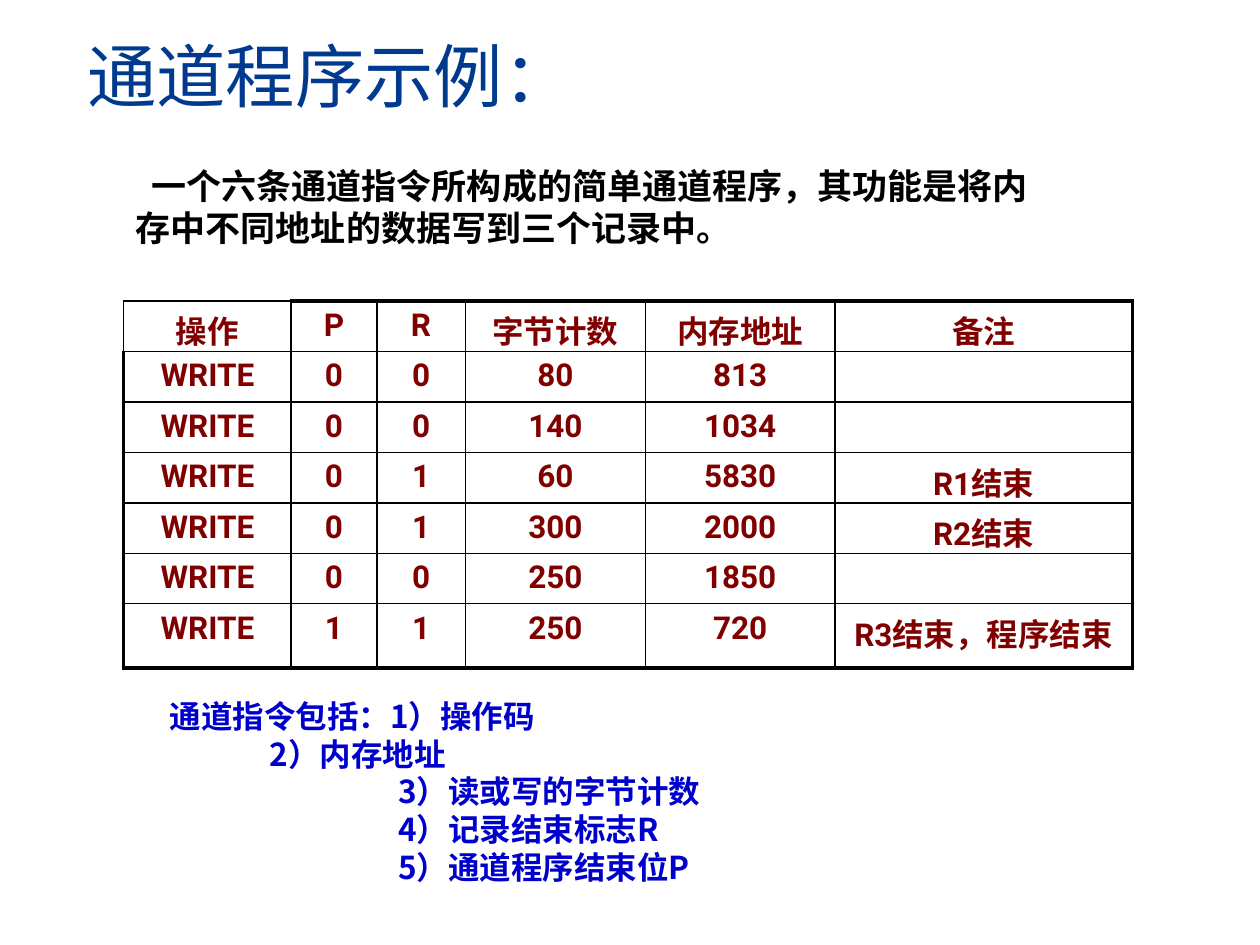
from lxml import etree
from pptx import Presentation
from pptx.dml.color import RGBColor
from pptx.enum.text import MSO_ANCHOR, PP_ALIGN
from pptx.oxml.ns import qn
from pptx.util import Pt

NAVY = RGBColor(0x00, 0x3A, 0x8F)
BLACK = RGBColor(0x00, 0x00, 0x00)
MAROON = RGBColor(0x80, 0x00, 0x00)
BLUE = RGBColor(0x00, 0x00, 0xCC)
CHINESE_FONT = "Noto Sans CJK SC"
LATIN_FONT = "Roboto"
CENTER, LEFT = PP_ALIGN.CENTER, PP_ALIGN.LEFT
MIDDLE, TOP = MSO_ANCHOR.MIDDLE, MSO_ANCHOR.TOP
THIN, THICK = Pt(1), Pt(2.25)


def write(para, text, size, color, font=CHINESE_FONT, bold=True,
          align=LEFT, left=0, first=0):
    """Write formatted text; left and first are indents in points."""
    para.alignment = align
    properties = para._p.get_or_add_pPr()
    properties.set("marL", str(Pt(left)))
    properties.set("indent", str(Pt(first)))
    span = para.add_run()
    span.text = text
    span.font.size = Pt(size)
    span.font.bold = bold
    span.font.name = font
    span.font.color.rgb = color
    east_asian = etree.SubElement(span._r.get_or_add_rPr(), qn("a:ea"))
    east_asian.set("typeface", CHINESE_FONT)


def set_border(cell, side, width):
    line = etree.SubElement(cell._tc.get_or_add_tcPr(), qn(f"a:ln{side}"), w=str(width))
    fill = etree.SubElement(line, qn("a:solidFill"))
    etree.SubElement(fill, qn("a:srgbClr"), val=str(BLACK))


deck = Presentation()
deck.slide_width, deck.slide_height = Pt(720), Pt(540)
page = deck.slides.add_slide(deck.slide_layouts[5])

# Title
title = page.shapes.title
title.left, title.top, title.width, title.height = Pt(18.7), Pt(33), Pt(600.5), Pt(26)
title.text_frame.vertical_anchor = MIDDLE
heading = title.text_frame.paragraphs[0]
heading.line_spacing = 0.9
write(heading, "通道程序示例：", 39.6, NAVY, bold=False, left=24)

# Introduction
intro = page.shapes.add_textbox(Pt(70.5), Pt(90.7), Pt(535.7), Pt(55.4))
intro.text_frame.word_wrap = True
write(intro.text_frame.paragraphs[0],
      "一个六条通道指令所构成的简单通道程序，其功能是将内存中不同地址的数据写到三个记录中。",
      20, BLACK, first=9)

# Channel program table
rows = [
    ("操作", "P", "R", "字节计数", "内存地址", "备注"),
    ("WRITE", "0", "0", "80", "813", ""),
    ("WRITE", "0", "0", "140", "1034", ""),
    ("WRITE", "0", "1", "60", "5830", "R1结束"),
    ("WRITE", "0", "1", "300", "2000", "R2结束"),
    ("WRITE", "0", "0", "250", "1850", ""),
    ("WRITE", "1", "1", "250", "720", "R3结束，程序结束"),
]
column_widths = [95.7, 48.9, 50.6, 102.9, 108.3, 170]
row_heights = [28.8] * 6 + [36.7]
last_row, last_column = len(rows) - 1, len(column_widths) - 1
table = page.shapes.add_table(len(rows), len(column_widths), Pt(70.7), Pt(172),
                              Pt(sum(column_widths)), Pt(sum(row_heights))).table
table.first_row = table.horz_banding = False
for column, width in zip(table.columns, column_widths):
    column.width = Pt(width)
for row, height in zip(table.rows, row_heights):
    row.height = Pt(height)

for i, values in enumerate(rows):
    for j, value in enumerate(values):
        cell = table.cell(i, j)
        cell.vertical_anchor = TOP
        write(cell.text_frame.paragraphs[0], value, 18, MAROON,
              font=LATIN_FONT, align=CENTER)
        # The frame is thick except around the top left cell
        thick_sides = {"L": j == 0 and i > 0, "R": j == last_column,
                       "T": i == 0 and j > 0, "B": i == last_row}
        for side, thick in thick_sides.items():
            set_border(cell, side, THICK if thick else THIN)
        cell.fill.background()

# Parts of a channel instruction
parts = [
    ("通道指令包括：1）操作码", 0),
    ("2）内存地址", 57),
    ("3）读或写的字节计数", 130.5),
    ("4）记录结束标志R", 130.5),
    ("5）通道程序结束位P", 130.5),
]
parts_box = page.shapes.add_textbox(Pt(90), Pt(394.6), Pt(360), Pt(116))
frame = parts_box.text_frame
frame.word_wrap = True
for number, (text, indent) in enumerate(parts):
    para = frame.add_paragraph() if number else frame.paragraphs[0]
    write(para, text, 18, BLUE, left=indent)

deck.save("out.pptx")
